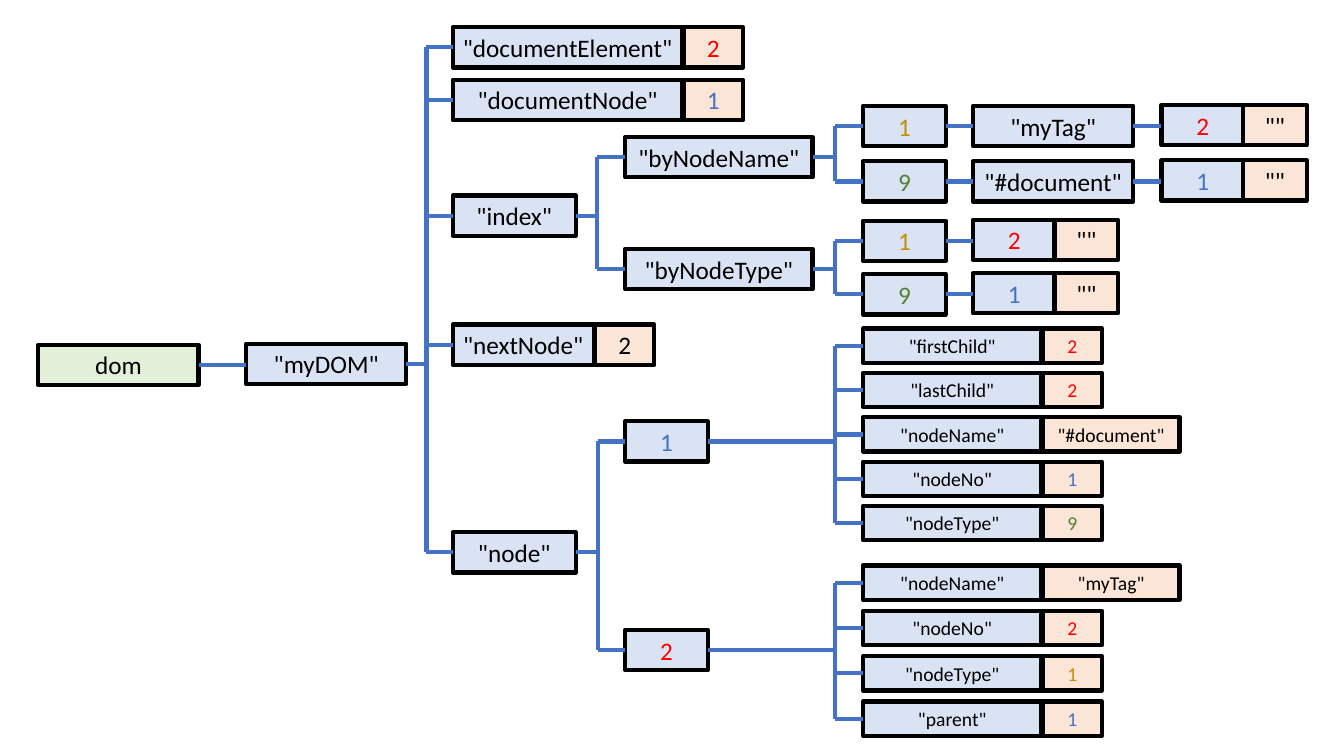
from dataclasses import dataclass

from lxml.etree import SubElement
from pptx import Presentation
from pptx.dml.color import RGBColor as RGB
from pptx.enum.shapes import MSO_CONNECTOR as Wire, MSO_SHAPE as Shape
from pptx.enum.text import MSO_ANCHOR as Anchor, PP_ALIGN as Align
from pptx.oxml.ns import qn
from pptx.util import Inches, Pt


@dataclass(frozen=True)
class Theme:
    font: str = "Calibri"
    large: int = 18
    small: int = 14
    line: int = 3
    ink: str = "000000"
    wire: str = "4472C4"
    root: str = "E2F0D9"
    key: str = "DAE3F3"
    value: str = "FBE5D6"
    first: str = "4472C4"   # node number 1
    second: str = "FF0000"  # node number 2
    tag: str = "BF9000"     # node type 1
    doc: str = "548235"     # node type 9


THEME = Theme()
TALL, SHORT = 0.4, 0.34


def box(slide, x, y, width, text, hue=THEME.ink, fill=THEME.key, small=False):
    height = SHORT if small else TALL
    shape = slide.shapes.add_shape(
        Shape.RECTANGLE, Inches(x), Inches(y), Inches(width), Inches(height))
    shape.shadow.inherit = False
    shape.fill.solid()
    shape.fill.fore_color.rgb = RGB.from_string(fill)
    shape.line.color.rgb = RGB.from_string(THEME.ink)
    shape.line.width = Pt(THEME.line)
    frame = shape.text_frame
    frame.word_wrap = True
    frame.vertical_anchor = Anchor.MIDDLE
    frame.margin_left = frame.margin_right = Inches(0.05)
    frame.text = text
    par = frame.paragraphs[0]
    par.alignment = Align.CENTER
    par.font.name = THEME.font
    par.font.size = Pt(THEME.small if small else THEME.large)
    par.font.color.rgb = RGB.from_string(hue)
    return shape


def value(slide, x, y, width, text, hue=THEME.ink, small=False):
    return box(slide, x, y, width, text, hue, THEME.value, small)


def wire(slide, x1, y1, x2, y2):
    line = slide.shapes.add_connector(Wire.STRAIGHT, x1, y1, x2, y2)
    line.line.color.rgb = RGB.from_string(THEME.wire)
    line.line.width = Pt(THEME.line)
    SubElement(line._element.spPr, qn("a:effectLst"))


def middle(shape):
    return shape.top + shape.height // 2


def link(slide, start, end):
    y = middle(start)
    wire(slide, start.left + start.width, y, end.left, y)


def fork(slide, parent, spine, kids):
    """Join a parent to its kids by way of an upright spine."""
    spine = Inches(spine)
    rows = [middle(kid) for kid in kids]
    wire(slide, parent.left + parent.width, middle(parent), spine, middle(parent))
    wire(slide, spine, min(rows), spine, max(rows))
    for kid, y in zip(kids, rows):
        wire(slide, spine, y, kid.left, y)


def fields(slide, top, step, rows):
    """Stack the small key and value pairs of one node."""
    keys = []
    for i, (name, text, hue, width) in enumerate(rows):
        y = top + i * step
        keys.append(box(slide, 8.56, y, 1.77, name, small=True))
        value(slide, 10.34, y, width, text, hue, small=True)
    return keys


def entry(slide, x, y, text, hue):
    """Draw a node number with its empty string."""
    key = box(slide, x, y, 0.82, text, hue)
    value(slide, x + 0.81, y, 0.63, '""')
    return key


def main():
    deck = Presentation()
    deck.slide_width, deck.slide_height = Inches(13.33), Inches(7.5)
    slide = deck.slides.add_slide(deck.slide_layouts[6])
    ink, first, second = THEME.ink, THEME.first, THEME.second
    tag, doc = THEME.tag, THEME.doc

    # Root and top-level keys
    root = box(slide, 0.38, 3.42, 1.59, "dom", fill=THEME.root)
    dom = box(slide, 2.44, 3.41, 1.59, '"myDOM"')
    link(slide, root, dom)
    tops = {}
    for name, y, width in (("documentElement", 0.27, 2.28),
                           ("documentNode", 0.79, 2.28),
                           ("index", 1.94, 1.22),
                           ("nextNode", 3.22, 1.4),
                           ("node", 5.28, 1.22)):
        tops[name] = box(slide, 4.49, y, width, f'"{name}"')
    value(slide, 6.78, 0.27, 0.59, "2", second)
    value(slide, 6.78, 0.79, 0.59, "1", first)
    value(slide, 5.9, 3.22, 0.59, "2")
    fork(slide, dom, 4.23, list(tops.values()))

    # Index branch
    by_name = box(slide, 6.2, 1.36, 1.86, '"byNodeName"')
    by_type = box(slide, 6.2, 2.47, 1.86, '"byNodeType"')
    fork(slide, tops["index"], 5.92, [by_name, by_type])

    kinds = []
    for y, kind, hue, name, node, tint in (
            (1.05, "1", tag, '"myTag"', "2", second),
            (1.6, "9", doc, '"#document"', "1", first)):
        key = box(slide, 8.56, y, 0.82, kind, hue)
        label = box(slide, 9.65, y, 1.59, name)
        link(slide, key, label)
        link(slide, label, entry(slide, 11.52, y - 0.01, node, tint))
        kinds.append(key)
    fork(slide, by_name, 8.28, kinds)

    kinds = []
    for y, kind, hue, node, tint in ((2.19, "1", tag, "2", second),
                                     (2.72, "9", doc, "1", first)):
        key = box(slide, 8.56, y, 0.82, kind, hue)
        link(slide, key, entry(slide, 9.65, y - 0.01, node, tint))
        kinds.append(key)
    fork(slide, by_type, 8.28, kinds)

    # Node branch
    one = box(slide, 6.2, 4.18, 0.82, "1", first)
    two = box(slide, 6.2, 6.25, 0.82, "2", second)
    fork(slide, tops["node"], 5.93, [one, two])
    fork(slide, one, 8.28, fields(slide, 3.26, 0.44, (
        ('"firstChild"', "2", second, 0.59),
        ('"lastChild"', "2", second, 0.59),
        ('"nodeName"', '"#document"', ink, 1.36),
        ('"nodeNo"', "1", first, 0.59),
        ('"nodeType"', "9", doc, 0.59))))
    fork(slide, two, 8.28, fields(slide, 5.61, 0.45, (
        ('"nodeName"', '"myTag"', ink, 1.36),
        ('"nodeNo"', "2", second, 0.59),
        ('"nodeType"', "1", tag, 0.59),
        ('"parent"', "1", first, 0.59))))

    deck.save("out.pptx")


if __name__ == "__main__":
    main()
